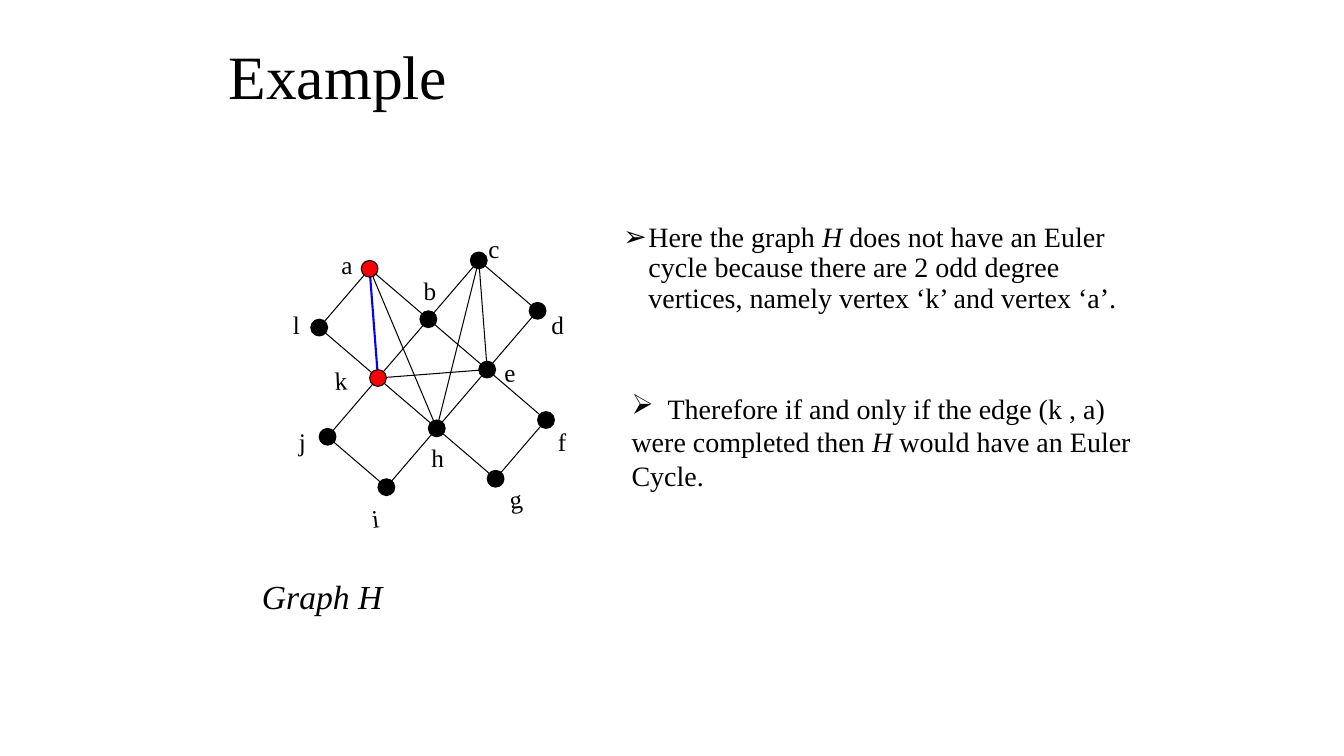
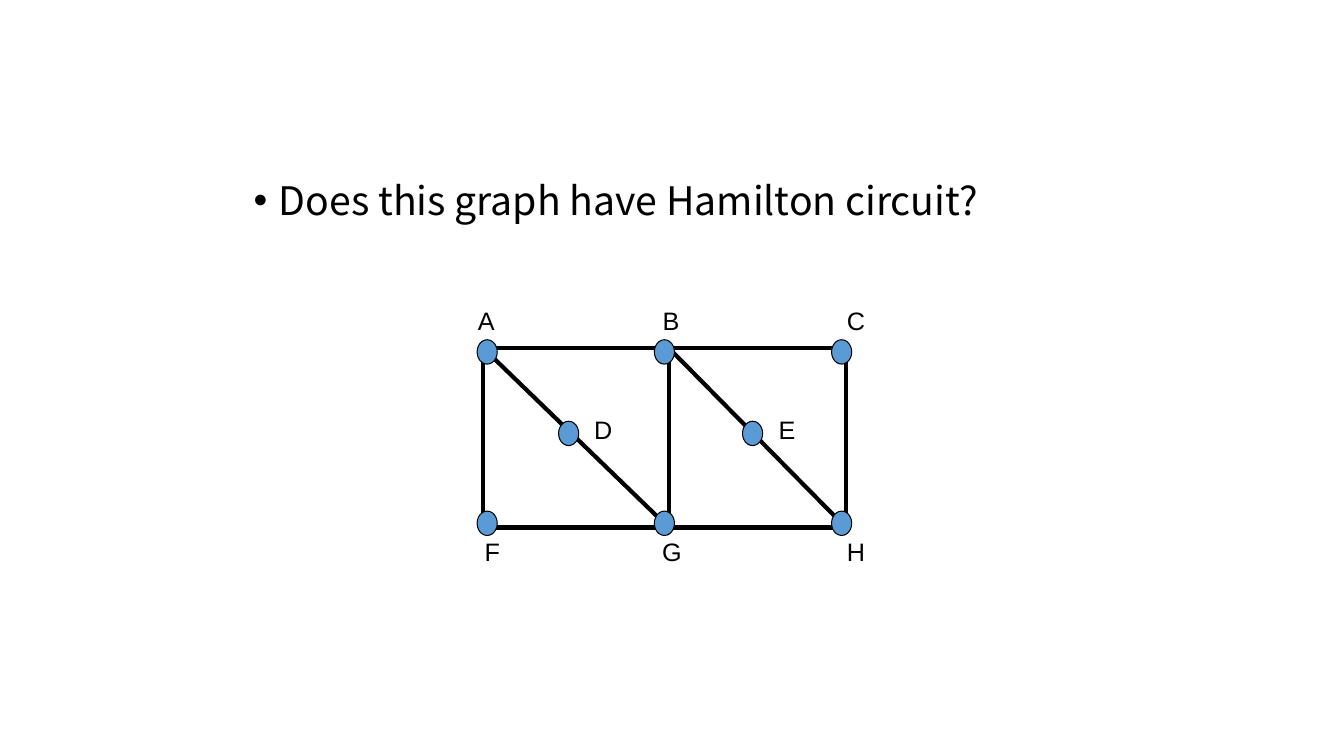
from itertools import combinations

from lxml.etree import SubElement
from pptx import Presentation
from pptx.dml.color import RGBColor
from pptx.enum.shapes import MSO_CONNECTOR, MSO_SHAPE
from pptx.enum.text import MSO_ANCHOR, MSO_AUTO_SIZE, PP_ALIGN
from pptx.oxml.ns import qn
from pptx.util import Pt

EMU_PER_PX = 7620
COLORS = {"ink": "000000", "odd": "FF0000", "missing": "0000FF", "node": "5B9BD5"}
SERIF, SANS, BODY = "Times New Roman", "Arial", "Noto Sans CJK SC"

LATTICE = {
    "l": (0, 0), "a": (0, 1), "k": (1, 0), "b": (1, 1), "c": (1, 2), "j": (1, -1),
    "h": (2, 0), "e": (2, 1), "d": (2, 2), "i": (2, -1), "g": (3, 0), "f": (3, 1),
}
CHORDS = ("ec", "ek", "ha", "hc")
ODD_VERTICES = "ka"
VERTEX_LABELS = {
    "l": (-27, -4, 0), "a": (-27, -5, 0), "k": (-44, 2, -2.5), "b": (2, -34, 0),
    "c": (18, -14, 0), "j": (-30, 5, 0), "h": (1, 35, 0), "e": (27, 3, -2.5),
    "d": (24, 16, 0), "i": (-13, 37, -7.4), "g": (24, 24, -7.4), "f": (19, 26, 0),
}

COLS, ROWS = (0, 221, 432), (0, 214)
NODES = {
    "A": (5, 5, -1, -38), "B": (216, 5, 8, -38), "C": (427, 5, 17, -38),
    "D": (102, 102, 41, -5), "E": (321, 102, 41, -5),
    "F": (5, 209, 6, 34), "G": (216, 209, 9, 34), "H": (427, 209, 17, 34),
}


def px(n):
    return round(n * EMU_PER_PX)


def rgb(name):
    return RGBColor.from_string(COLORS[name])


def place(sp, box):
    sp.left, sp.top, sp.width, sp.height = map(px, box)


def write(sp, parts, font, size, spacing=1.0, bullet=None, hang=0, tab=0):
    tf = sp.text_frame
    tf.word_wrap = True
    tf.auto_size = MSO_AUTO_SIZE.NONE
    p = tf.paragraphs[0]
    pPr = p._p.get_or_add_pPr()
    pPr.set("marL", str(px(hang)))
    pPr.set("indent", str(-px(hang)))
    if bullet:
        SubElement(pPr, qn("a:buChar")).set("char", bullet)
    if tab:
        stop = SubElement(SubElement(pPr, qn("a:tabLst")), qn("a:tab"))
        stop.set("pos", str(px(tab)))
        stop.set("algn", "l")
    p.alignment = PP_ALIGN.LEFT
    p.space_before = Pt(0)
    p.line_spacing = spacing
    for text, italic in parts:
        r = p.add_run()
        r.text = text
        r.font.name, r.font.size, r.font.italic = font, Pt(size), italic
        r.font.color.rgb = rgb("ink")
    return p


def add_text(s, box, parts, font, size, **style):
    sp = s.shapes.add_textbox(*map(px, box))
    write(sp, parts, font, size, **style)
    return sp


def add_label(s, x, y, text, font, rotation=0):
    sp = add_text(s, (x - 30, y - 24, 60, 48), [(text, False)], font, 18)
    sp.text_frame.vertical_anchor = MSO_ANCHOR.MIDDLE
    sp.text_frame.paragraphs[0].alignment = PP_ALIGN.CENTER
    sp.rotation = rotation


def add_edge(s, start, end, color="ink", width=0.75):
    ends = [px(n) for n in (*start, *end)]
    c = s.shapes.add_connector(MSO_CONNECTOR.STRAIGHT, *ends)
    c.line.color.rgb = rgb(color)
    c.line.width = Pt(width)
    SubElement(c._element.spPr, qn("a:effectLst"))


def add_dot(s, x, y, w, h, color):
    box = (x - w / 2, y - h / 2, w, h)
    sp = s.shapes.add_shape(MSO_SHAPE.OVAL, *map(px, box))
    sp.shadow.inherit = False
    sp.fill.solid()
    sp.fill.fore_color.rgb = rgb(color)
    sp.line.color.rgb = rgb("ink")
    sp.line.width = Pt(0.75)


def draw_lattice_graph(s, left, top):
    at = {
        name: (left + 70 * u + 60 * v, top + 60 * u - 70 * v)
        for name, (u, v) in LATTICE.items()
    }
    for m, n in combinations(LATTICE, 2):
        (u1, v1), (u2, v2) = LATTICE[m], LATTICE[n]
        if abs(u1 - u2) + abs(v1 - v2) == 1 and {m, n} != set(ODD_VERTICES):
            add_edge(s, at[m], at[n])
    for m, n in CHORDS:
        add_edge(s, at[m], at[n])
    add_edge(s, at["k"], at["a"], "missing", 1.5)
    for name, (x, y) in at.items():
        add_dot(s, x, y, 20, 20, "odd" if name in ODD_VERTICES else "ink")
        dx, dy, rotation = VERTEX_LABELS[name]
        add_label(s, x + dx, y + dy, name, SERIF, rotation)


def draw_grid_graph(s, left, top):
    x = [left + n for n in COLS]
    y = [top + n for n in ROWS]
    edges = [((x[0], row), (x[2], row)) for row in y]
    edges += [((col, y[0]), (col, y[1])) for col in x]
    edges += [((x[n], y[0]), (x[n + 1], y[1])) for n in (0, 1)]
    for start, end in edges:
        add_edge(s, start, end, width=3)
    for name, (nx, ny, dx, dy) in NODES.items():
        add_dot(s, left + nx, top + ny, 24, 29, "node")
        add_label(s, left + nx + dx, top + ny + dy, name, SANS)


def add_body(s, box, parts, font, size, bullet):
    body = s.placeholders[1]
    place(body, box)
    write(body, parts, font, size, spacing=0.9, bullet=bullet, hang=30)


def build_euler_slide(prs):
    s = prs.slides.add_slide(prs.slide_layouts[1])
    title = s.shapes.title
    place(title, (260, 20, 1080, 150))
    write(title, [("Example", False)], SERIF, 44, spacing=0.9)
    title.text_frame.vertical_anchor = MSO_ANCHOR.MIDDLE
    reason = [
        ("Here the graph ", False),
        ("H", True),
        (" does not have an Euler cycle because there are 2 odd degree vertices, "
         "namely vertex ‘k’ and vertex ‘a’.", False),
    ]
    add_body(s, (730, 260, 640, 140), reason, SERIF, 20, "➢")
    conclusion = [
        ("\tTherefore if and only if the edge (k , a) were completed then ", False),
        ("H", True),
        (" would have an Euler Cycle.", False),
    ]
    add_text(s, (740, 460, 630, 132), conclusion, SERIF, 20, bullet="➢", tab=43)
    add_text(s, (300, 680, 320, 60), [("Graph H", True)], SERIF, 24)
    draw_lattice_graph(s, 380, 390)


def build_hamilton_slide(prs):
    s = prs.slides.add_slide(prs.slide_layouts[1])
    title = s.shapes.title._element
    title.getparent().remove(title)
    question = [("Does this graph have Hamilton circuit?", False)]
    add_body(s, (290, 210, 1020, 137), question, BODY, 28, "•")
    draw_grid_graph(s, 575, 414)


def main():
    prs = Presentation()
    prs.slide_width, prs.slide_height = px(1600), px(900)
    build_euler_slide(prs)
    build_hamilton_slide(prs)
    prs.save("out.pptx")


if __name__ == "__main__":
    main()
